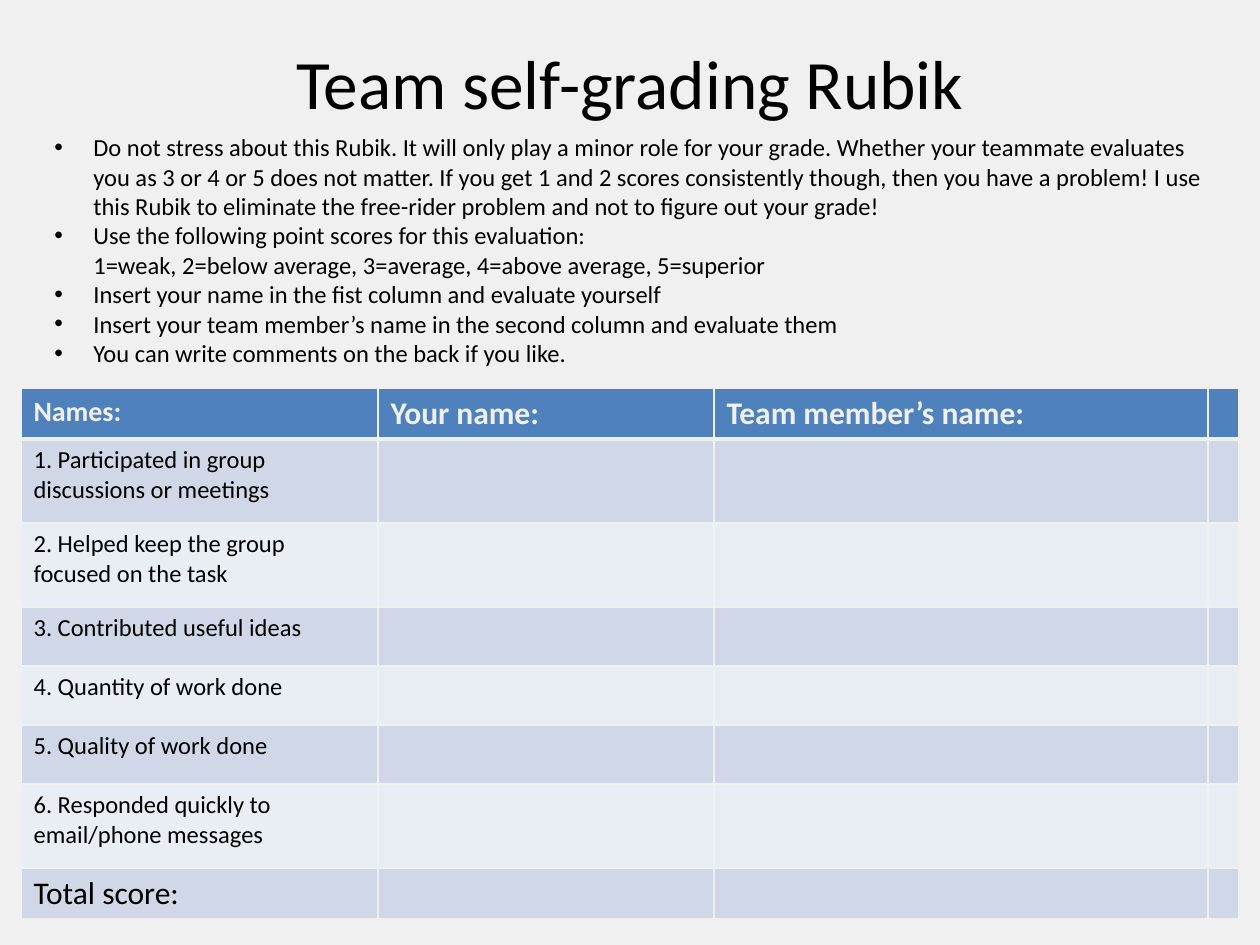
from lxml import etree
from pptx import Presentation
from pptx.dml.color import RGBColor
from pptx.enum.text import MSO_ANCHOR, MSO_AUTO_SIZE, PP_ALIGN
from pptx.oxml.ns import qn
from pptx.util import Emu, Pt

PX = 914400 / 126
BLACK = RGBColor(0x00, 0x00, 0x00)
PALE = RGBColor(0xF0, 0xF0, 0xF0)
HEADER_BLUE = RGBColor(0x4F, 0x81, 0xBD)
BANDS = [RGBColor(0xE9, 0xED, 0xF4), RGBColor(0xD0, 0xD8, 0xE8)]


def px(*lengths):
    return [Emu(round(length * PX)) for length in lengths]


def style(paragraph, size, color=BLACK, bold=False):
    font = paragraph.font
    font.name, font.size, font.bold = "Calibri", Pt(size), bold
    font.color.rgb = color


prs = Presentation()
prs.slide_width, prs.slide_height = px(1260, 945)
slide = prs.slides.add_slide(prs.slide_layouts[5])
slide.background.fill.solid()
slide.background.fill.fore_color.rgb = PALE

# Title
title = slide.shapes.title
title.left, title.top, title.width, title.height = px(63, 38, 1134, 88)
title.text_frame.text = "Team self-grading Rubik"
title.text_frame.auto_size = MSO_AUTO_SIZE.NONE
title.text_frame.vertical_anchor = MSO_ANCHOR.MIDDLE
heading = title.text_frame.paragraphs[0]
heading.alignment = PP_ALIGN.CENTER
style(heading, 39.6)

# Scoring table
column_widths = px(357, 336, 494, 31)
row_heights = px(50, 84, 84, 59, 59, 59, 84, 50)
rows = [
    ["Names:", "Your name:", "Team member’s name:"],
    ["1. Participated in group discussions or meetings"],
    ["2. Helped keep the group focused on the task"],
    ["3. Contributed useful ideas"],
    ["4. Quantity of work done"],
    ["5. Quality of work done"],
    ["6. Responded quickly to email/phone messages"],
    ["Total score:"],
]
scores = slide.shapes.add_table(
    len(rows), len(column_widths), *px(21, 388, 1218, 529)).table
scores.first_row = scores.horz_banding = False
for column, width in zip(scores.columns, column_widths):
    column.width = width
for r, (labels, height) in enumerate(zip(rows, row_heights)):
    scores.rows[r].height = height
    is_header = r == 0
    for c in range(len(column_widths)):
        cell = scores.cell(r, c)
        cell_properties = cell._tc.get_or_add_tcPr()
        for side in "LRTB":
            heavy = (is_header and side == "B") or (r == 1 and side == "T")
            border = etree.SubElement(cell_properties, qn(f"a:ln{side}"),
                                      w=str(Pt(3 if heavy else 1)))
            fill = etree.SubElement(border, qn("a:solidFill"))
            etree.SubElement(fill, qn("a:srgbClr"), val=str(PALE))
        cell.fill.solid()
        cell.fill.fore_color.rgb = HEADER_BLUE if is_header else BANDS[r % 2]
        if c < len(labels):
            cell.text = labels[c]
            if is_header:
                size = 16 if c == 0 else 18
            else:
                size = 18 if r == len(rows) - 1 else 14
            style(cell.text_frame.paragraphs[0], size,
                  PALE if is_header else BLACK, is_header)

# Instructions
instructions = [
    "Do not stress about this Rubik. It will only play a minor role for your "
    "grade. Whether your teammate evaluates you as 3 or 4 or 5 does not matter. "
    "If you get 1 and 2 scores consistently though, then you have a problem! "
    "I use this Rubik to eliminate the free-rider problem and not to figure out "
    "your grade!",
    "Use the following point scores for this evaluation:\v"
    "1=weak, 2=below average, 3=average, 4=above average, 5=superior",
    "Insert your name in the fist column and evaluate yourself",
    "Insert your team member’s name in the second column and evaluate them",
    "You can write comments on the back if you like.",
]
guide = slide.shapes.add_textbox(*px(42, 126, 1187, 251)).text_frame
guide.word_wrap = True
guide.auto_size = MSO_AUTO_SIZE.SHAPE_TO_FIT_TEXT
indent = px(39)[0]
for i, instruction in enumerate(instructions):
    paragraph = guide.paragraphs[0] if i == 0 else guide.add_paragraph()
    paragraph.text = instruction
    properties = paragraph._p.get_or_add_pPr()
    properties.set("marL", str(indent))
    properties.set("indent", str(-indent))
    etree.SubElement(properties, qn("a:buFont"), typeface="Arial")
    etree.SubElement(properties, qn("a:buChar"), char="•")
    style(paragraph, 14)

prs.save("out.pptx")
